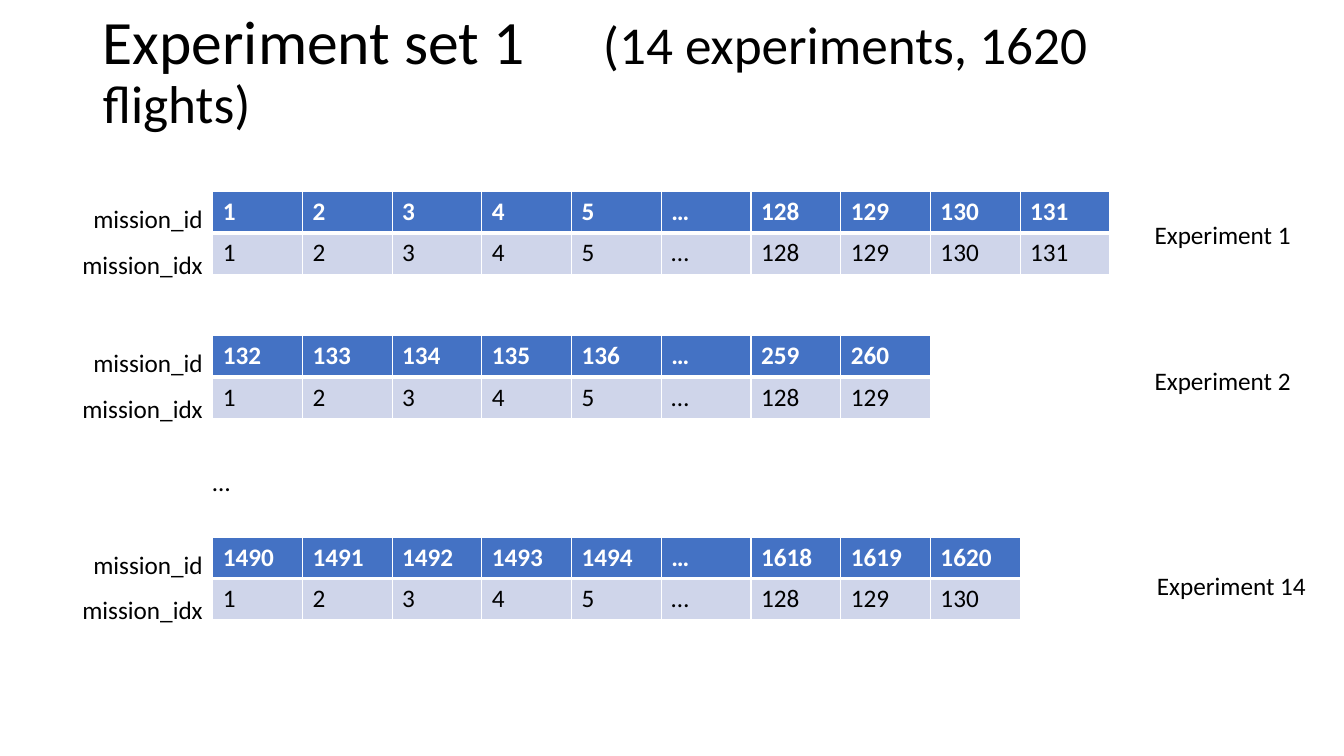
from lxml import etree
from pptx import Presentation
from pptx.dml.color import RGBColor
from pptx.enum.text import MSO_ANCHOR, MSO_AUTO_SIZE, PP_ALIGN
from pptx.oxml.ns import qn
from pptx.util import Inches, Pt

MIDDLE, NO_FIT, GROW = MSO_ANCHOR.MIDDLE, MSO_AUTO_SIZE.NONE, MSO_AUTO_SIZE.SHAPE_TO_FIT_TEXT
LEFT, RIGHT = PP_ALIGN.LEFT, PP_ALIGN.RIGHT

FONT = "Calibri"
BLACK, WHITE, BLUE, PALE = "000000", "FFFFFF", "4472C4", "CFD5EA"
TITLE = [("Experiment set 1", 44), ("\t(14 experiments, 1620 flights)", 38)]
ROW_NAMES = ["mission_id", "mission_idx"]
GAP = "…"
FIRST_IDX = 5
# (name, first id, first and last idx after the gap, table top, name top, name width)
EXPERIMENTS = [
    ("Experiment 1", 1, 128, 131, 1.9, 1.98, 1.57),
    ("Experiment 2", 132, 128, 129, 3.33, 3.42, 1.57),
    ("Experiment 14", 1490, 128, 130, 5.33, 5.46, 1.72),
]
ID_OFFSET_14 = 1490
TABLE_LEFT, COLUMN, ROW = 2.11, 0.89, 0.41


def color(hex_value):
    """Turn a hex string into a colour."""
    return RGBColor.from_string(hex_value)


def add_run(paragraph, text, size=18, ink=BLACK, bold=False):
    """Add one formatted run."""
    run = paragraph.add_run()
    run.text = text
    run.font.name, run.font.size, run.font.bold = FONT, Pt(size), bold
    run.font.color.rgb = color(ink)


def add_label(slide, lines, left, top, width):
    """Add a right-aligned label, one paragraph per line."""
    height = 0.06 + 0.45 * len(lines)
    label = slide.shapes.add_textbox(Inches(left), Inches(top), Inches(width), Inches(height))
    frame = label.text_frame
    frame.word_wrap, frame.auto_size = True, GROW
    for number, line in enumerate(lines):
        paragraph = frame.add_paragraph() if number else frame.paragraphs[0]
        paragraph.alignment, paragraph.line_spacing = RIGHT, 1.5
        add_run(paragraph, line)


def add_borders(cell, top, bottom):
    """Draw white cell borders with the given top and bottom widths."""
    properties = cell._tc.get_or_add_tcPr()
    for side, width in (("L", 1), ("R", 1), ("T", top), ("B", bottom)):
        line = etree.SubElement(properties, qn(f"a:ln{side}"), w=str(Pt(width)))
        fill = etree.SubElement(line, qn("a:solidFill"))
        etree.SubElement(fill, qn("a:srgbClr"), val=WHITE)


def add_missions(slide, ids, indexes, top):
    """Add the table that pairs mission ids with their indexes."""
    table = slide.shapes.add_table(2, len(ids), Inches(TABLE_LEFT), Inches(top),
                                   Inches(COLUMN * len(ids)), Inches(2 * ROW)).table
    for column in table.columns:
        column.width = Inches(COLUMN)
    styles = [(ids, BLUE, WHITE, True, 1, 3), (indexes, PALE, BLACK, False, 3, 1)]
    for row, (values, back, ink, bold, above, below) in enumerate(styles):
        table.rows[row].height = Inches(ROW)
        for column, value in enumerate(values):
            cell = table.cell(row, column)
            add_borders(cell, above, below)
            cell.fill.solid()
            cell.fill.fore_color.rgb = color(back)
            add_run(cell.text_frame.paragraphs[0], str(value), ink=ink, bold=bold)


def add_title(slide):
    """Fill the title, its second part starting at a tab stop."""
    title = slide.shapes.title
    title.left, title.top, title.width, title.height = map(Inches, (0.92, 0, 11.5, 1.45))
    frame = title.text_frame
    frame.word_wrap, frame.auto_size, frame.vertical_anchor = True, NO_FIT, MIDDLE
    frame.margin_right = Inches(0.2)
    paragraph = frame.paragraphs[0]
    paragraph.alignment, paragraph.line_spacing = LEFT, 0.9
    stops = etree.SubElement(paragraph._p.get_or_add_pPr(), qn("a:tabLst"))
    etree.SubElement(stops, qn("a:tab"), pos=str(Inches(4.96)), algn="l")
    for text, size in TITLE:
        add_run(paragraph, text, size)


def main():
    """Build and save the slide."""
    deck = Presentation()
    deck.slide_width, deck.slide_height = Inches(13.33), Inches(7.5)
    slide = deck.slides.add_slide(deck.slide_layouts[5])
    add_title(slide)
    for name, first_id, resume, last, top, name_top, name_width in EXPERIMENTS:
        indexes = [*range(1, FIRST_IDX + 1), GAP, *range(resume, last + 1)]
        shift = first_id - 1 + (first_id == ID_OFFSET_14)
        ids = [first_id + index - 1 if index != GAP and index <= FIRST_IDX
               else GAP if index == GAP else shift + index for index in indexes]
        add_missions(slide, ids, indexes, top)
        add_label(slide, ROW_NAMES, 0.54, top - 0.08, 1.57)
        add_label(slide, [name], 11.33, name_top, name_width)
    add_label(slide, [GAP], 0.81, 4.43, 1.57)
    deck.save("out.pptx")


main()
